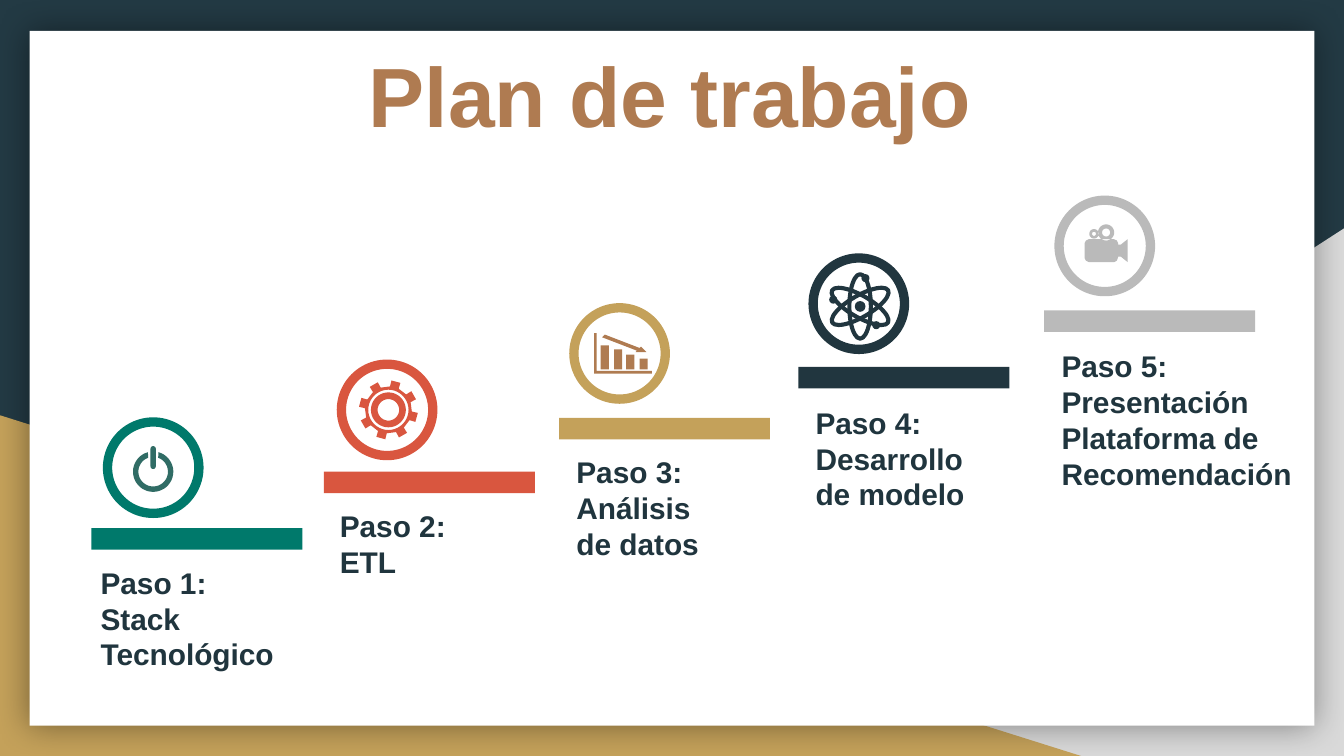
from math import cos, pi, radians, sin

from lxml import etree
from pptx import Presentation
from pptx.dml.color import RGBColor
from pptx.enum.shapes import MSO_SHAPE as SHAPE
from pptx.enum.text import MSO_ANCHOR as ANCHOR, MSO_AUTO_SIZE as AUTO, PP_ALIGN as ALIGN
from pptx.oxml.ns import qn
from pptx.util import Inches, Pt

NIGHT = RGBColor(0x23, 0x3A, 0x44)
WHITE = RGBColor(0xFF, 0xFF, 0xFF)
SILVER = RGBColor(0xD9, 0xD9, 0xD9)
GOLD = RGBColor(0xC4, 0xA1, 0x5A)
BRONZE = RGBColor(0xAF, 0x7B, 0x51)
INK = RGBColor(0x20, 0x35, 0x3E)
GREEN = RGBColor(0x00, 0x79, 0x6B)
PINE = RGBColor(0x30, 0x6C, 0x65)
RED = RGBColor(0xD9, 0x56, 0x3F)
NAVY = RGBColor(0x21, 0x36, 0x3F)
GRAY = RGBColor(0xBA, 0xBA, 0xBA)

TITLE = "Plan de trabajo"
STEPS = [
    (["Paso 1:", "Stack Tecnológico"], GREEN, (0.68, 3.93), (0.8, 3.14), (0.65, 4.15, 1.61, 0.91)),
    (["Paso 2:", "ETL"], RED, (2.41, 3.51), (2.54, 2.71), (2.43, 3.73, 1.29, 0.64)),
    (["Paso 3:", "Análisis de datos"], GOLD, (4.16, 3.11), (4.27, 2.29), (4.19, 3.33, 1.21, 0.91)),
    (["Paso 4:", "Desarrollo de modelo"], NAVY, (5.94, 2.73), (6.05, 1.92), (5.97, 2.96, 1.4, 0.91)),
    (["Paso 5:", "Presentación Plataforma de Recomendación"], GRAY, (7.77, 2.31), (7.88, 1.49),
     (7.8, 2.54, 1.99, 1.18)),
]
BAR_SIZE = (1.57, 0.16)
RING_SIZE = (0.68, 0.68)
CHART_BARS = [(4.47, 2.57), (4.57, 2.6), (4.66, 2.64), (4.76, 2.67)]
CHART_ARROW = [(4.5, 2.49), (4.76, 2.59), (4.77, 2.58), (4.81, 2.62), (4.73, 2.62), (4.74, 2.61), (4.48, 2.51)]
CHART_AXES = [(4.42, 2.48), (4.44, 2.48), (4.44, 2.76), (4.85, 2.76), (4.85, 2.78), (4.42, 2.78)]
CAMERA_BODY = [(8.1, 1.78), (8.29, 1.78), (8.31, 1.79), (8.32, 1.81), (8.32, 1.82), (8.34, 1.82), (8.39, 1.78),
               (8.39, 1.95), (8.34, 1.91), (8.32, 1.91), (8.31, 1.94), (8.29, 1.95), (8.1, 1.95), (8.08, 1.94),
               (8.07, 1.92), (8.07, 1.81), (8.08, 1.79)]
CAMERA_REELS = [(8.14, 1.74, 0.035), (8.14, 1.74, 0.015), (8.23, 1.73, 0.06), (8.23, 1.73, 0.03)]
ATOM_CENTER = (6.4, 2.28)
ELECTRONS = [(6.44, 2.07), (6.2, 2.23), (6.52, 2.42)]

prs = Presentation()
prs.slide_width = Inches(10)
prs.slide_height = prs.slide_width * 9 // 16
s = prs.slides.add_slide(prs.slide_layouts[5])
s.background.fill.solid()
s.background.fill.fore_color.rgb = NIGHT


def paint(sp, fill=None, line=None, width=0):
    sp.shadow.inherit = False
    if fill is None:
        sp.fill.background()
    else:
        sp.fill.solid()
        sp.fill.fore_color.rgb = fill
    if line is None:
        sp.line.fill.background()
    else:
        sp.line.color.rgb = line
        sp.line.width = Pt(width)
    return sp


def add_preset(kind, box, **look):
    return paint(s.shapes.add_shape(kind, *map(Inches, box)), **look)


def add_disc(x, y, rx, ry, **look):
    return add_preset(SHAPE.OVAL, (x - rx, y - ry, 2 * rx, 2 * ry), **look)


def add_outline(contours, color):
    contours = [[(Inches(x), Inches(y)) for x, y in c] for c in contours]
    builder = s.shapes.build_freeform(*contours[0][0])
    for i, points in enumerate(contours):
        if i:
            builder.move_to(*points[0])
        builder.add_line_segments(points[1:], close=True)
    return paint(builder.convert_to_shape(), fill=color)


def arc(x, y, r, start=0, end=360, steps=40):
    angles = [radians(start + (end - start) * i / steps) for i in range(steps + 1)]
    return [(x + r * cos(a), y + r * sin(a)) for a in angles]


def rect(left, top, right, bottom):
    return [(left, top), (right, top), (right, bottom), (left, bottom)]


def set_text(tf, lines, size=16, color=INK, align=ALIGN.LEFT, spacing=1.0):
    tf.word_wrap = True
    for i, line in enumerate(lines):
        p = tf.paragraphs[0] if i == 0 else tf.add_paragraph()
        p.alignment, p.line_spacing = align, spacing
        r = p.add_run()
        r.text = line
        r.font.name, r.font.size, r.font.bold = "Arial", Pt(size), True
        r.font.color.rgb = color


def add_soft_shadow(sp):
    effects = sp.element.spPr.find(qn("a:effectLst"))
    shadow = etree.SubElement(effects, qn("a:outerShdw"), blurRad=str(Pt(18)), dist="0", dir="0", algn="ctr")
    color = etree.SubElement(shadow, qn("a:srgbClr"), val="000000")
    etree.SubElement(color, qn("a:alpha"), val="40000")


corner = add_preset(SHAPE.RIGHT_TRIANGLE, (3.92, 1.7, 6.08, 3.93), fill=SILVER)
corner.element.spPr.find(qn("a:xfrm")).set("flipH", "1")
add_preset(SHAPE.RIGHT_TRIANGLE, (0, 3.09, 8.06, 2.54), fill=GOLD)
card = add_preset(SHAPE.RECTANGLE, (0.22, 0.23, 9.56, 5.17), fill=WHITE)
add_soft_shadow(card)

title = s.shapes.title
card.element.addnext(title.element)
title.left, title.top, title.width, title.height = map(Inches, (0.88, 0.23, 8.21, 1.04))
tf = title.text_frame
tf.vertical_anchor, tf.auto_size = ANCHOR.MIDDLE, AUTO.NONE
tf.margin_left = tf.margin_top = tf.margin_right = tf.margin_bottom = Inches(0.1)
set_text(tf, [TITLE], size=45, color=BRONZE, align=ALIGN.CENTER, spacing=0.88)

for lines, color, bar, ring, box in STEPS:
    add_preset(SHAPE.RECTANGLE, bar + BAR_SIZE, fill=color)
    tf = s.shapes.add_textbox(*map(Inches, box)).text_frame
    tf.auto_size = AUTO.SHAPE_TO_FIT_TEXT
    set_text(tf, lines)
    add_preset(SHAPE.OVAL, ring + RING_SIZE, fill=WHITE, line=color, width=5)

power_ring = arc(1.14, 3.51, 0.15, -75, 255) + arc(1.14, 3.51, 0.11, 250, -70)
power_bar = arc(1.14, 3.34, 0.02, 180, 360, 8) + arc(1.14, 3.47, 0.02, 0, 180, 8)
add_outline([power_ring, power_bar], PINE)

gear = []
for tooth in range(8):
    middle = -75 + 45 * tooth
    for offset, radius in [(-11, 0.175), (-9, 0.22), (9, 0.22), (11, 0.175)]:
        a = (middle + offset) * pi / 180
        gear.append((2.89 + radius * cos(a), 3.05 + radius * sin(a)))
add_outline([gear] + [arc(2.89, 3.05, r) for r in (0.15, 0.13, 0.08)], RED)

chart_bars = [rect(x, y, x + 0.06, 2.75) for x, y in CHART_BARS]
add_outline(chart_bars + [CHART_ARROW, CHART_AXES], BRONZE)

for angle in (0, 60, -60):
    add_disc(*ATOM_CENTER, 0.08, 0.24, line=NAVY, width=2.2).rotation = angle
add_disc(*ATOM_CENTER, 0.04, 0.04, fill=NAVY)
for x, y in ELECTRONS:
    add_disc(x, y, 0.03, 0.03, fill=NAVY)

add_outline([CAMERA_BODY] + [arc(*reel) for reel in CAMERA_REELS], GRAY)

prs.save("out.pptx")
